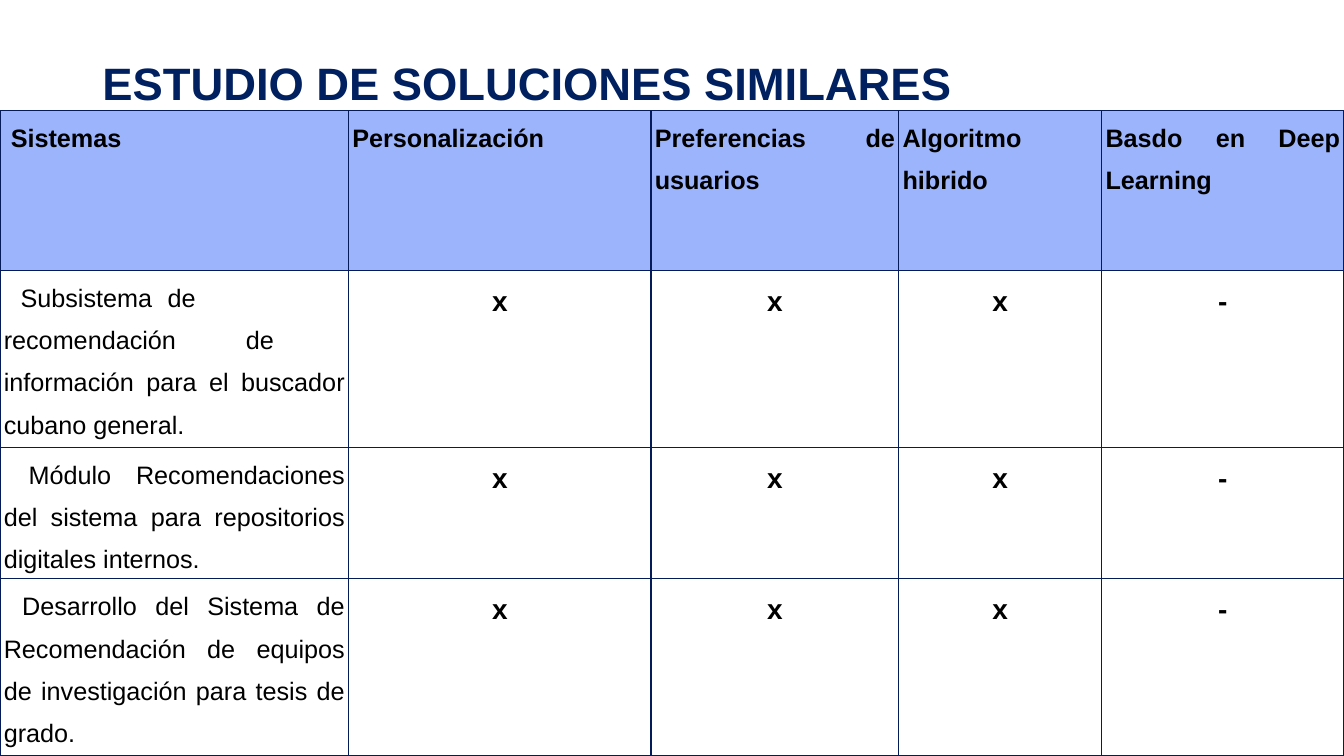
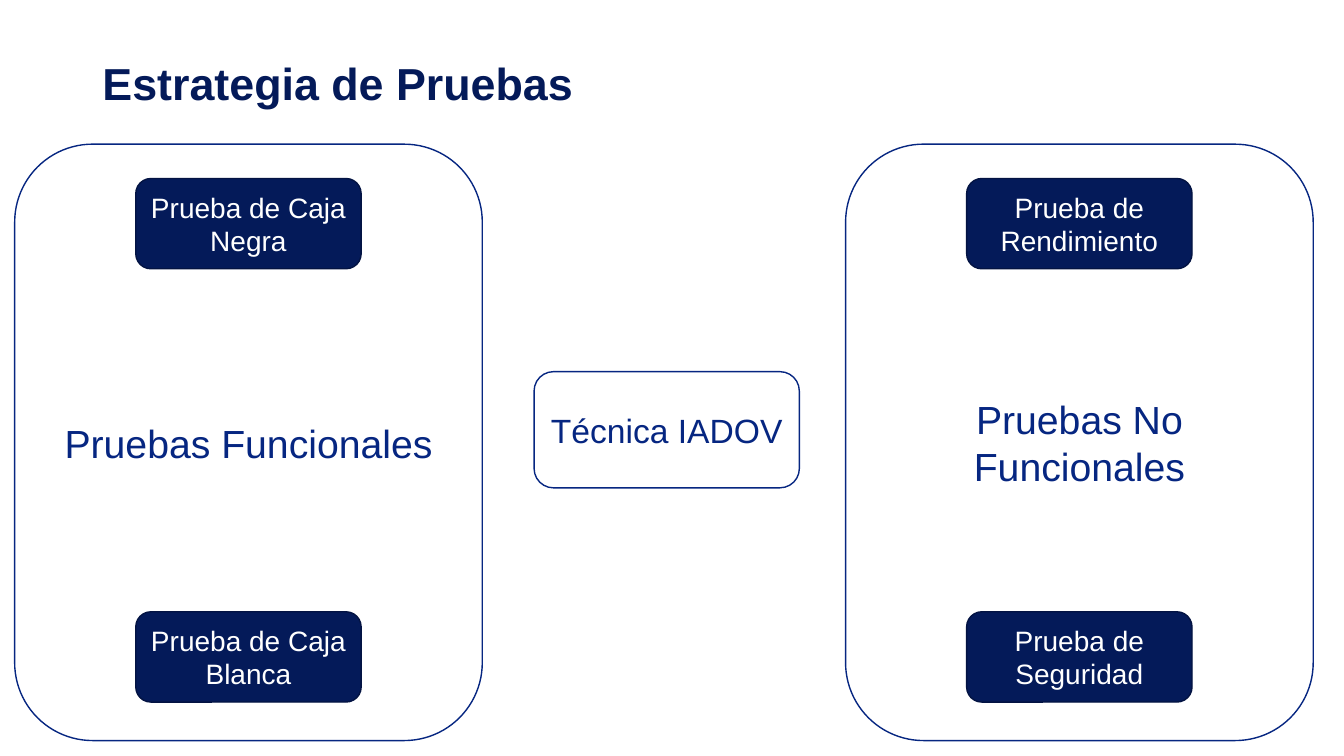
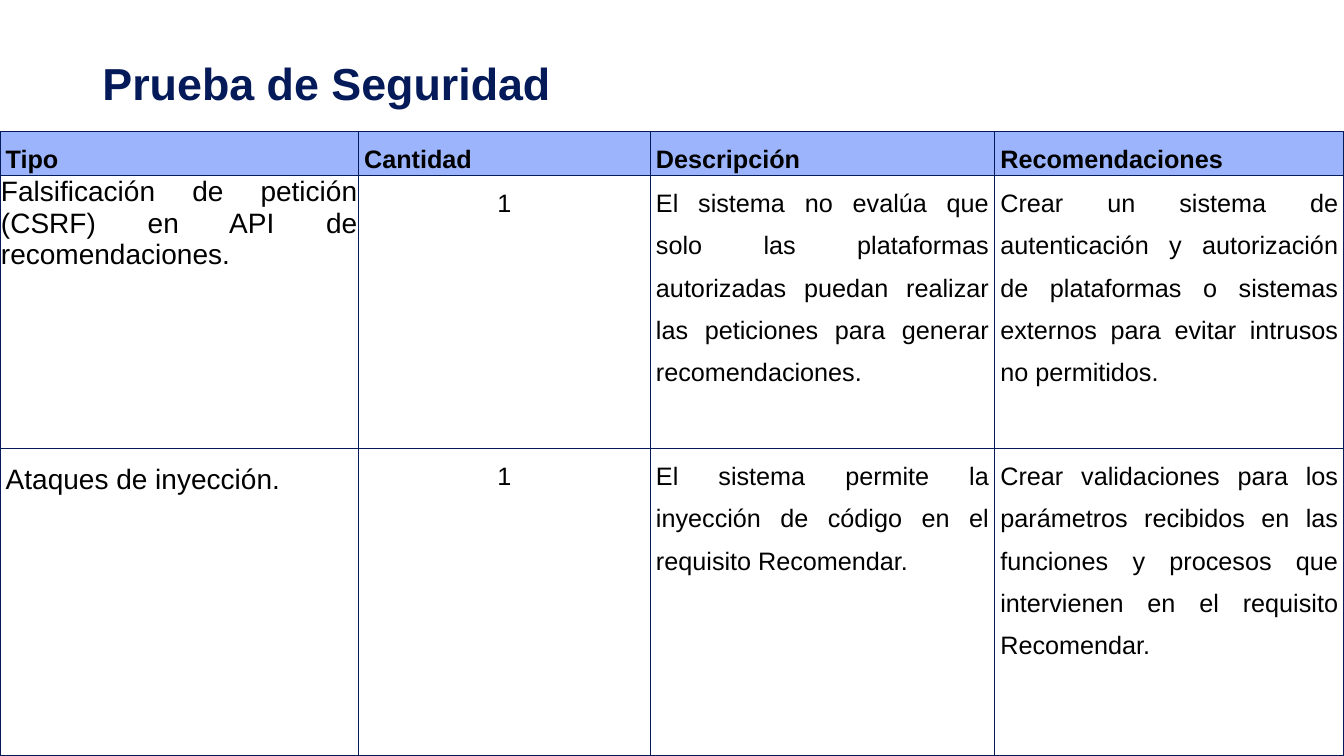
"""Build three slides on similar systems, test strategy and security tests."""
from dataclasses import dataclass
from typing import Any, Optional

from lxml import etree
from pptx import Presentation
from pptx import util as u
from pptx.dml import color
from pptx.enum import shapes, text
from pptx.oxml import ns

HUES = {
    "title": "002060",
    "navy": "041A59",
    "edge": "031342",
    "blue": "062681",
    "head": "9BB4FB",
    "white": "FFFFFF",
    "black": "000000",
}
FACE = "Arial"
JUST, MID, LEFT = text.PP_ALIGN.JUSTIFY, text.PP_ALIGN.CENTER, text.PP_ALIGN.LEFT


@dataclass(frozen=True)
class Cell:
    text: str
    size: float = 18
    bold: bool = False
    align: Any = JUST
    space: float = 1.5
    fill: str = "white"
    pad: Optional[float] = None
    tabs: tuple[float, ...] = ()


@dataclass(frozen=True)
class Grid:
    top: float
    pad: float
    cols: tuple[float, ...]
    rows: tuple[float, ...]
    cells: list[list[Cell]]


@dataclass(frozen=True)
class Look:
    size: float
    ink: str
    line: str
    fill: Optional[str] = None


@dataclass(frozen=True)
class Panel:
    left: float
    text: str
    chips: tuple[str, str]


OPEN = Look(28, "blue", "blue")
SMALL = Look(24, "blue", "blue")
CHIP = Look(20, "white", "edge", "navy")


def hue(name: str) -> color.RGBColor:
    """Return a named colour."""
    return color.RGBColor.from_string(HUES[name])


def put(item: Any, vals: dict[str, Any]) -> None:
    """Set each named value on an object."""
    for key, val in vals.items():
        setattr(item, key, val)


def write(frame: Any, words: str, size: float, ink: str, bold: bool = False,
          align: Any = MID, space: float = 1, tabs: tuple[float, ...] = ()) -> None:
    """Fill a text frame with one formatted paragraph."""
    para = frame.paragraphs[0]
    para.text = words
    put(para, {"alignment": align, "line_spacing": space})
    if tabs:
        stops = etree.SubElement(para._p.get_or_add_pPr(), ns.qn("a:tabLst"))
        for stop in tabs:
            etree.SubElement(stops, ns.qn("a:tab"), pos=str(u.Pt(stop)), algn="l")
    for run in para.runs:
        put(run.font, {"name": FACE, "size": u.Pt(size), "bold": bold})
        run.font.color.rgb = hue(ink)


def start(deck: Any, words: str, width: float = 408, size: float = 32,
          ink: str = "navy") -> Any:
    """Add a slide with its title."""
    slide = deck.slides.add_slide(deck.slide_layouts[5])
    title = slide.shapes.title
    put(title, {"left": u.Pt(66), "top": u.Pt(29),
                "width": u.Pt(width), "height": u.Pt(65)})
    put(title.text_frame, {"word_wrap": True, "auto_size": text.MSO_AUTO_SIZE.NONE,
                           "vertical_anchor": text.MSO_ANCHOR.MIDDLE})
    write(title.text_frame, words, size, ink, True, LEFT, 0.9)
    return slide


def frame(cell: Any) -> None:
    """Draw the four borders of a table cell."""
    props = cell._tc.get_or_add_tcPr()
    for side in ("lnL", "lnR", "lnT", "lnB"):
        line = etree.SubElement(props, ns.qn(f"a:{side}"), w=str(u.Pt(1)))
        fill = etree.SubElement(line, ns.qn("a:solidFill"))
        etree.SubElement(fill, ns.qn("a:srgbClr"), val=HUES["navy"])


def table(slide: Any, grid: Grid) -> None:
    """Draw a table across the slide."""
    body = slide.shapes.add_table(
        len(grid.rows), len(grid.cols), u.Pt(0), u.Pt(grid.top),
        u.Pt(sum(grid.cols)), u.Pt(sum(grid.rows))).table
    put(body, {"first_row": False, "horz_banding": False})
    for col, width in zip(body.columns, grid.cols):
        col.width = u.Pt(width)
    for row, high, cells in zip(body.rows, grid.rows, grid.cells):
        row.height = u.Pt(high)
        for box, cell in zip(row.cells, cells):
            side = grid.pad if cell.pad is None else cell.pad
            edge = cell.pad or 0
            put(box, {"margin_left": u.Pt(side), "margin_right": u.Pt(side),
                      "margin_top": u.Pt(edge), "margin_bottom": u.Pt(edge)})
            frame(box)
            box.fill.solid()
            box.fill.fore_color.rgb = hue(cell.fill)
            write(box.text_frame, cell.text, cell.size, "black", cell.bold,
                  cell.align, cell.space, cell.tabs)


def card(slide: Any, left: float, top: float, width: float, high: float,
         words: str, look: Look) -> None:
    """Draw a rounded box with centred text."""
    box = slide.shapes.add_shape(
        shapes.MSO_SHAPE.ROUNDED_RECTANGLE,
        u.Pt(left), u.Pt(top), u.Pt(width), u.Pt(high))
    box.shadow.inherit = False
    if look.fill:
        box.fill.solid()
        box.fill.fore_color.rgb = hue(look.fill)
    else:
        box.fill.background()
    box.line.color.rgb = hue(look.line)
    box.line.width = u.Pt(1)
    put(box.text_frame, {"word_wrap": True,
                         "vertical_anchor": text.MSO_ANCHOR.MIDDLE})
    write(box.text_frame, words, look.size, look.ink)


def panel(slide: Any, item: Panel) -> None:
    """Draw a large box with a chip near its top and its foot."""
    wide, chip = 334, 161
    card(slide, item.left, 103, wide, 426, item.text, OPEN)
    for top, words in zip((127.5, 437), item.chips):
        card(slide, item.left + (wide - chip) / 2, top, chip, 64.5, words, CHIP)


def heads(*names: str) -> list[Cell]:
    """Return the header row of a table."""
    return [Cell(name, bold=True, fill="head") for name in names]


def marks(name: Cell) -> list[Cell]:
    """Return a system row with its marks."""
    return [name] + [Cell(sign, 20, True, MID) for sign in "xxx-"]


def risk(kind: Cell, what: str, cure: str) -> list[Cell]:
    """Return a row for one security finding."""
    return [kind, Cell("1", align=MID), Cell(what), Cell(cure)]


SYSTEMS = Grid(79, 2.7, (249, 216, 177, 145, 173), (114, 126.5, 94, 126.5), [
    heads(" Sistemas", "Personalización", "Preferencias de usuarios",
          "Algoritmo hibrido", "Basdo en Deep Learning"),
    marks(Cell("\tSubsistema\tde\vrecomendación\tde\v"
               "información para el buscador cubano general.", tabs=(12, 117, 173))),
    marks(Cell(" Módulo Recomendaciones del sistema para repositorios "
               "digitales internos.")),
    marks(Cell(" Desarrollo del Sistema de Recomendación de equipos de "
               "investigación para tesis de grado.")),
])

RISKS = Grid(94, 4.1, (256, 208.5, 246, 249.5), (31.5, 195, 219.5), [
    heads("Tipo", "Cantidad", "Descripción", "Recomendaciones"),
    risk(Cell("Falsificación de petición (CSRF) en API de recomendaciones.",
              20, space=1, pad=0.7),
         "El sistema no evalúa que solo las plataformas autorizadas puedan "
         "realizar las peticiones para generar recomendaciones.",
         "Crear un sistema de autenticación y autorización de plataformas o "
         "sistemas externos para evitar intrusos no permitidos."),
    risk(Cell("Ataques de inyección.", 20),
         "El sistema permite la inyección de código en el requisito Recomendar.",
         "Crear validaciones para los parámetros recibidos en las funciones y "
         "procesos que intervienen en el requisito Recomendar."),
])

PANELS = (
    Panel(10.5, "Pruebas Funcionales",
          ("Prueba de Caja Negra", "Prueba de Caja Blanca")),
    Panel(604, "Pruebas No Funcionales",
          ("Prueba de Rendimiento", "Prueba de Seguridad")),
)


def main() -> None:
    """Build and save the deck."""
    deck = Presentation()
    put(deck, {"slide_width": u.Pt(960), "slide_height": u.Pt(540)})

    table(start(deck, "ESTUDIO DE SOLUCIONES SIMILARES", 641.5, 32.4, "title"),
          SYSTEMS)

    plan = start(deck, "Estrategia de Pruebas")
    card(plan, 381.5, 265.5, 189.5, 83, "Técnica IADOV", SMALL)
    for item in PANELS:
        panel(plan, item)

    table(start(deck, "Prueba de Seguridad"), RISKS)
    deck.save("out.pptx")


if __name__ == "__main__":
    main()
